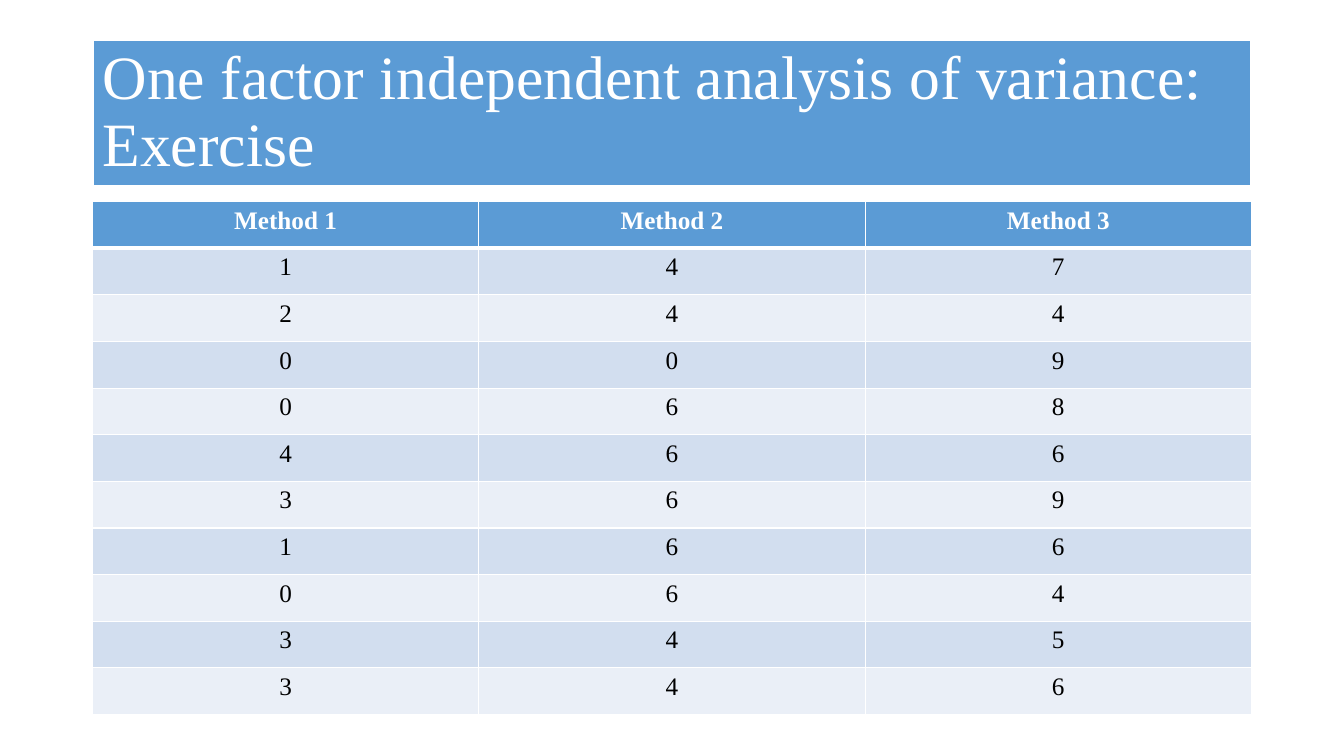
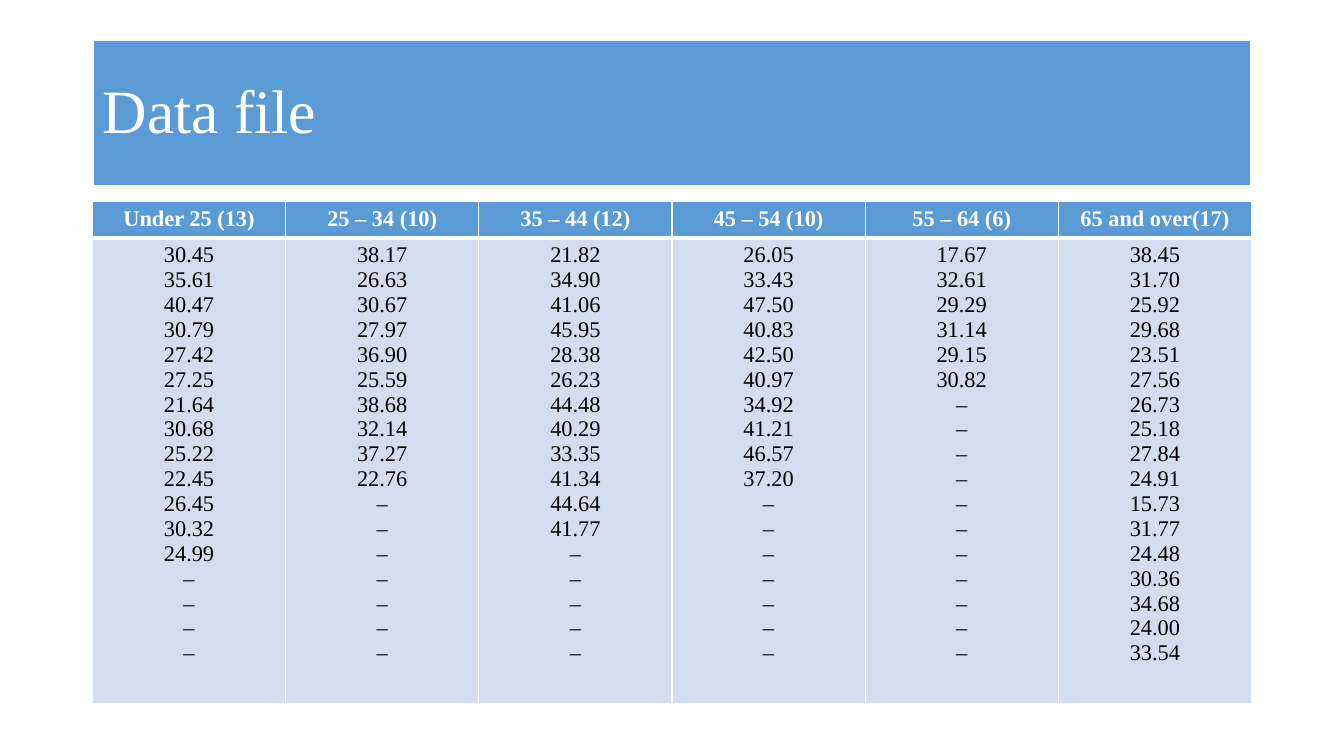
from lxml import etree
from pptx import Presentation
from pptx import util as u
from pptx.dml import color
from pptx.enum import text
from pptx.oxml import ns

COLORS = {
    "blue": "5B9BD5",
    "odd": "D2DEEF",
    "even": "EAEFF7",
    "white": "FFFFFF",
    "black": "000000",
}
FONT = "Times New Roman"
LEFT, WIDTH = u.Cm(2.33), u.Cm(29.21)
TITLE_TOP, TITLE_HEIGHT = u.Cm(1.01), u.Cm(3.68)
TABLE_TOP = u.Cm(5.08)


def rgb(name):
    return color.RGBColor.from_string(COLORS[name])


def add_border(cell, side, points):
    properties = cell._tc.get_or_add_tcPr()
    line = etree.SubElement(properties, ns.qn(f"a:ln{side}"), w=str(u.Pt(points)))
    fill = etree.SubElement(line, ns.qn("a:solidFill"))
    etree.SubElement(fill, ns.qn("a:srgbClr"), val=COLORS["white"])


method_scores = [
    ["Method 1", "Method 2", "Method 3"],
    *(row.split() for row in (
        "1 4 7", "2 4 4", "0 0 9", "0 6 8", "4 6 6",
        "3 6 9", "1 6 6", "0 6 4", "3 4 5", "3 4 6",
    )),
]

age_groups = {
    "Under 25 (13)": "30.45 35.61 40.47 30.79 27.42 27.25 21.64 30.68 25.22 22.45 "
                     "26.45 30.32 24.99",
    "25 – 34 (10)": "38.17 26.63 30.67 27.97 36.90 25.59 38.68 32.14 37.27 22.76",
    "35 – 44 (12)": "21.82 34.90 41.06 45.95 28.38 26.23 44.48 40.29 33.35 41.34 "
                    "44.64 41.77",
    "45 – 54 (10)": "26.05 33.43 47.50 40.83 42.50 40.97 34.92 41.21 46.57 37.20",
    "55 – 64 (6)": "17.67 32.61 29.29 31.14 29.15 30.82",
    "65 and over(17)": "38.45 31.70 25.92 29.68 23.51 27.56 26.73 25.18 27.84 24.91 "
                       "15.73 31.77 24.48 30.36 34.68 24.00 33.54",
}
samples = [values.split() for values in age_groups.values()]
longest = max(len(sample) for sample in samples)
age_data = [
    list(age_groups),
    ["\n".join(sample + ["–"] * (longest - len(sample))) for sample in samples],
]

pages = [
    ("One factor independent analysis of variance: Exercise",
     method_scores, 18, [1.175] * len(method_scores)),
    ("Data file", age_data, 16, [0.91, 11.75]),
]

deck = Presentation()
deck.slide_width, deck.slide_height = u.Cm(33.87), u.Cm(19.05)

for heading, rows, size, heights in pages:
    page = deck.slides.add_slide(deck.slide_layouts[5])

    title = page.shapes.title
    title.left, title.top = LEFT, TITLE_TOP
    title.width, title.height = WIDTH, TITLE_HEIGHT
    title.fill.solid()
    title.fill.fore_color.rgb = rgb("blue")
    title.line.color.rgb = rgb("white")
    title.line.width = u.Pt(1.5)
    frame = title.text_frame
    frame.text = heading
    frame.word_wrap = True
    frame.auto_size = text.MSO_AUTO_SIZE.NONE
    frame.vertical_anchor = text.MSO_ANCHOR.MIDDLE
    para = frame.paragraphs[0]
    para.alignment = text.PP_ALIGN.LEFT
    para.line_spacing = 0.9
    para.font.name = FONT
    para.font.size = u.Pt(44)
    para.font.color.rgb = rgb("white")

    table = page.shapes.add_table(
        len(rows), len(rows[0]), LEFT, TABLE_TOP, WIDTH, u.Cm(sum(heights))
    ).table
    for row, height in zip(table.rows, heights):
        row.height = u.Cm(height)

    for i, values in enumerate(rows):
        header = i == 0
        fill = "blue" if header else "odd" if i % 2 else "even"
        borders = {"L": 1, "R": 1, "T": 3 if i == 1 else 1, "B": 3 if header else 1}
        for j, value in enumerate(values):
            cell = table.cell(i, j)
            for side, points in borders.items():
                add_border(cell, side, points)
            cell.fill.solid()
            cell.fill.fore_color.rgb = rgb(fill)
            cell.text = value
            for para in cell.text_frame.paragraphs:
                para.alignment = text.PP_ALIGN.CENTER
                para.font.name = FONT
                para.font.size = u.Pt(size)
                para.font.bold = header
                para.font.color.rgb = rgb("white" if header else "black")

deck.save("out.pptx")
